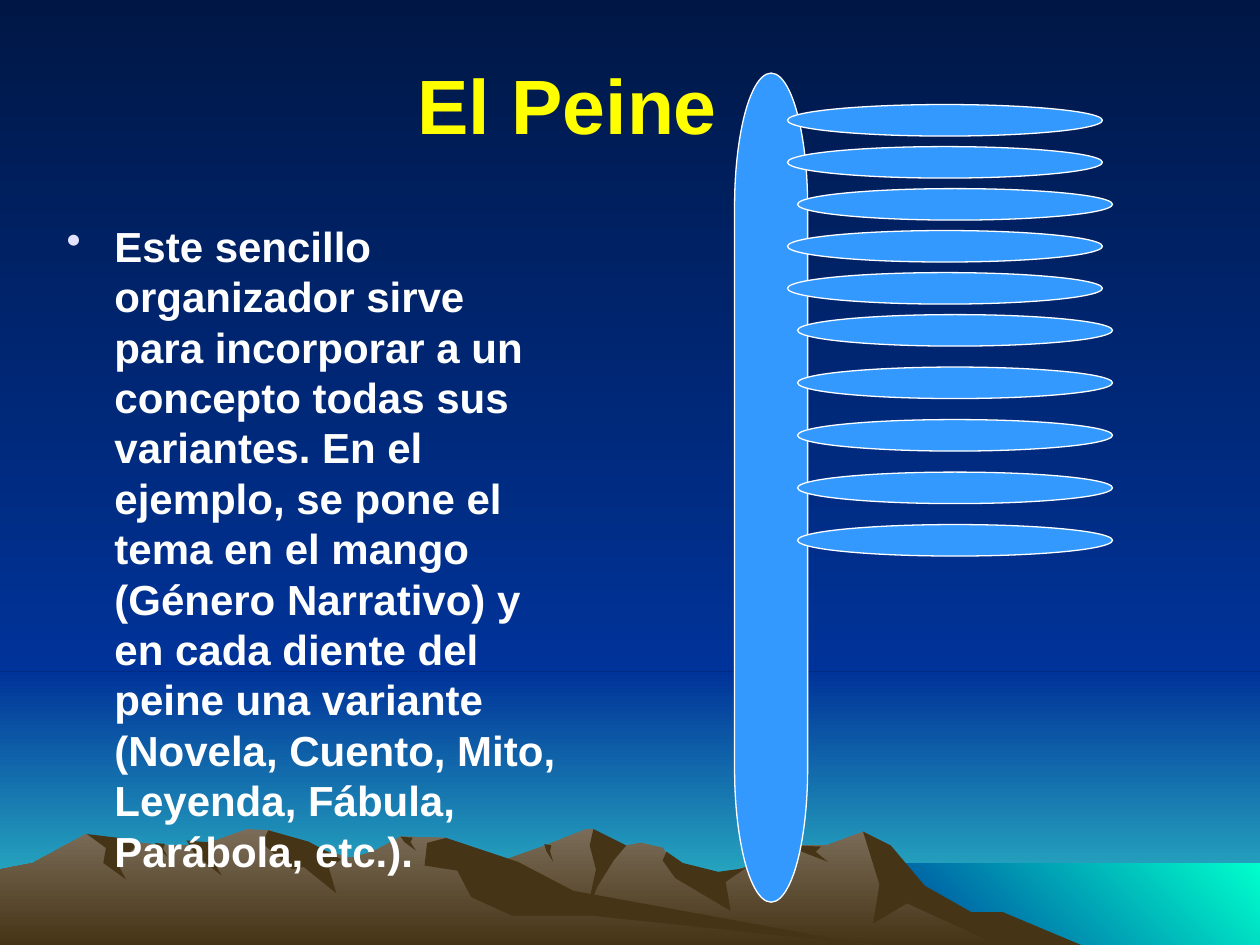
"""Builds the "El Peine" slide: a comb-shaped organizer over a mountain landscape."""
from itertools import accumulate

from lxml import etree
from pptx import Presentation
from pptx import util as u
from pptx.dml.color import RGBColor
from pptx.enum import shapes, text
from pptx.oxml.ns import qn

WIDTH, HEIGHT = 10, 7.5
HORIZON, SHORE_X, SHORE_Y = 5.33, 6.83, 6.85
NIGHT, BLUE, TEAL, AQUA = "001746", "003399", "33CCCC", "00FFCC"
ROCK, EARTH, SKY_BLUE = "7A6C58", "463416", "3399FF"
WHITE, YELLOW, LILAC = "FFFFFF", "FFFF00", "E3E3FF"
DOWN, UP_RIGHT = 270, 45

TOOTH_WIDTH, TOOTH_HEIGHT, FIRST_TOOTH_TOP = 2.5, 0.25, 0.83
TOOTH_STEPS = [1 / 3] * 5 + [5 / 12] * 4
INNER_LEFT, OUTER_LEFT = 6.25, 6.33
INNER_TEETH = {0, 1, 3, 4}

RIGHT_CREST = [
    (2.58, HEIGHT), (3.27, 7.09), (3.94, 6.85), (4.33, 6.71), (4.65, 6.58), (4.71, 6.58),
    (4.86, 6.73), (5.09, 6.69), (5.26, 6.73), (5.36, 6.9), (5.66, 6.97), (6.13, 6.81),
    (6.29, 6.71), (6.56, 6.71), (6.85, 6.6), (7.02, 6.71), (7.23, 6.98), (7.64, 7.23),
    (8.21, HEIGHT)]
LEFT_CREST = [
    (0, HEIGHT), (0, 6.9), (0.26, 6.85), (0.68, 6.62), (0.94, 6.71), (1.11, 6.69),
    (1.32, 6.71), (1.6, 6.71), (1.96, 6.58), (2.15, 6.59), (2.36, 6.81), (2.6, 6.76),
    (2.79, 6.81), (2.96, 6.76), (3.18, 6.64), (3.54, 6.65), (4.32, 7.12), (6.9, HEIGHT)]
RIGHT_FACES = {
    "coast": [(6.85, 6.6), (7.07, 6.71), (7.34, 7.03), (7.71, 7.24), (7.96, 7.24),
              (8.58, HEIGHT), (7.92, HEIGHT), (7.2, 7.17), (6.93, 7.33), (6.98, 7.02)],
    "central peak": [(4.71, 6.58), (4.97, 6.71), (4.87, 6.83), (4.74, 7.04), (4.65, 7.27),
                     (4.73, 6.9), (4.68, 6.71)],
    "saddle": [(5.29, 6.76), (5.42, 6.85), (5.7, 6.92), (5.92, 6.89), (5.76, 7),
               (5.8, 7.23), (5.36, 6.97), (5.26, 6.83)],
}
LEFT_FACES = {
    "west peak": [(0.69, 6.62), (0.94, 6.65), (1.11, 6.69), (0.93, 6.85), (1, 6.98),
                  (0.82, 6.85), (0.84, 6.73)],
    "middle peak": [(2.13, 6.59), (2.45, 6.68), (2.71, 6.82), (2.61, 6.89), (2.67, 7.09),
                    (2.41, 6.88), (2.32, 6.9), (2.08, 6.69)],
    "long slope": [(3.39, 6.69), (3.54, 6.65), (4.11, 6.84), (4.55, 7.07), (6.9, HEIGHT),
                   (4.72, 7.27), (4.07, 7.27), (3.74, 7.12), (3.63, 6.91), (3.37, 6.87)],
}
GULLY_FORM = [(0, 0), (0.8, 0.07), (0.65, 0.4), (1, 1), (0.25, 0.4)]
RIGHT_GULLIES = [(6.3, 6.71, 0.27, 0.13), (4.32, 6.7, 0.07, 0.14)]
LEFT_GULLIES = [(3.18, 6.64, 0.12, 0.11), (1.48, 6.67, 0.28, 0.28), (1.23, 6.69, 0.1, 0.11)]

BODY = ("Este sencillo organizador sirve para incorporar a un concepto todas sus variantes. "
        "En el ejemplo, se pone el tema en el mango (Género Narrativo) y en cada diente del "
        "peine una variante (Novela, Cuento, Mito, Leyenda, Fábula, Parábola, etc.).")


def rgb(value):
    """Turn a hex string into a colour."""
    return RGBColor.from_string(value)


def gradient(fill, first, last, angle):
    """Give a fill a two-colour linear gradient."""
    fill.gradient()
    fill.gradient_angle = angle
    for stop, color in zip(fill.gradient_stops, (first, last)):
        stop.color.rgb = rgb(color)


def write(p, value, size=24, color=WHITE, bold=True, font="Arial", align=text.PP_ALIGN.LEFT):
    """Add a formatted run to a paragraph."""
    p.alignment = align
    r = p.add_run()
    r.text = value
    r.font.size, r.font.bold, r.font.name = u.Pt(size), bold, font
    r.font.color.rgb = rgb(color)


def bullet(p, color, indent):
    """Put a hanging bullet on a paragraph."""
    pPr = p._p.get_or_add_pPr()
    pPr.set("marL", str(u.Inches(indent)))
    pPr.set("indent", str(-u.Inches(indent)))
    clr = etree.SubElement(pPr, qn("a:buClr"))
    etree.SubElement(clr, qn("a:srgbClr"), val=color)
    etree.SubElement(pPr, qn("a:buChar"), char="•")


class Painter:
    """Holds the current slide and the comb's style."""

    def __init__(self, s, fill=SKY_BLUE, line=WHITE, width=0.75):
        self.s, self.fill, self.line, self.width = s, fill, line, width

    def paint(self, sp, colors, angle):
        """Fill scenery with one colour or a gradient and hide its outline."""
        sp.shadow.inherit = False
        sp.line.fill.background()
        if len(colors) == 2:
            gradient(sp.fill, *colors, angle)
        else:
            sp.fill.solid()
            sp.fill.fore_color.rgb = rgb(colors[0])

    def band(self, left, top, bottom, *colors, angle=DOWN):
        """Draw sky or sea from a left edge to the right side of the slide."""
        box = (left, top, WIDTH - left, bottom - top)
        sp = self.s.shapes.add_shape(shapes.MSO_SHAPE.RECTANGLE, *map(u.Inches, box))
        self.paint(sp, colors, angle)

    def outline(self, points, *colors):
        """Draw a closed outline through points given in inches."""
        start, *rest = [(u.Inches(x), u.Inches(y)) for x, y in points]
        builder = self.s.shapes.build_freeform(*start)
        builder.add_line_segments(rest, close=True)
        self.paint(builder.convert_to_shape(), colors, DOWN)

    def gully(self, left, top, width, height):
        """Draw a small shaded gully by stretching the common form over a box."""
        self.outline([(left + x * width, top + y * height) for x, y in GULLY_FORM], EARTH)

    def mountains(self, crest, faces, gullies):
        """Draw a range with its shaded faces and gullies."""
        self.outline(crest, ROCK, EARTH)
        for face in faces.values():
            self.outline(face, EARTH)
        for box in gullies:
            self.gully(*box)

    def piece(self, kind, box, rotation=0):
        """Draw one piece of the comb."""
        sp = self.s.shapes.add_shape(kind, *map(u.Inches, box))
        sp.shadow.inherit = False
        sp.rotation = rotation
        sp.fill.solid()
        sp.fill.fore_color.rgb = rgb(self.fill)
        sp.line.color.rgb = rgb(self.line)
        sp.line.width = u.Pt(self.width)

    def comb(self):
        """Draw the handle and the column of teeth."""
        self.piece(shapes.MSO_SHAPE.FLOWCHART_TERMINATOR, (2.83, 3.58, 6.58, 0.58), 270)
        for i, top in enumerate(accumulate(TOOTH_STEPS, initial=FIRST_TOOTH_TOP)):
            left = INNER_LEFT if i in INNER_TEETH else OUTER_LEFT
            self.piece(shapes.MSO_SHAPE.OVAL, (left, top, TOOTH_WIDTH, TOOTH_HEIGHT))

    def textbox(self, box, anchor=text.MSO_ANCHOR.TOP):
        """Add a wrapping text box and return its first paragraph."""
        tf = self.s.shapes.add_textbox(*map(u.Inches, box)).text_frame
        tf.word_wrap = True
        tf.vertical_anchor = anchor
        return tf.paragraphs[0]


def main():
    """Build and save the slide."""
    prs = Presentation()
    prs.slide_width, prs.slide_height = u.Inches(WIDTH), u.Inches(HEIGHT)
    s = prs.slides.add_slide(prs.slide_layouts[6])
    gradient(s.background.fill, NIGHT, BLUE, DOWN)
    painter = Painter(s)

    painter.band(0, HORIZON, HEIGHT, BLUE, TEAL)
    painter.band(0, 0, HORIZON, NIGHT, BLUE)
    painter.band(SHORE_X, SHORE_Y, HEIGHT, BLUE, AQUA, angle=UP_RIGHT)
    painter.mountains(RIGHT_CREST, RIGHT_FACES, RIGHT_GULLIES)
    painter.mountains(LEFT_CREST, LEFT_FACES, LEFT_GULLIES)

    title = painter.textbox((0.75, 0.17, 7.51, 1.3), text.MSO_ANCHOR.MIDDLE)
    write(title, "El Peine", size=44, color=YELLOW, align=text.PP_ALIGN.CENTER)
    body = painter.textbox((0.43, 1.7, 4.12, 4))
    bullet(body, LILAC, indent=0.38)
    write(body, BODY)
    painter.comb()

    prs.save("out.pptx")


if __name__ == "__main__":
    main()
